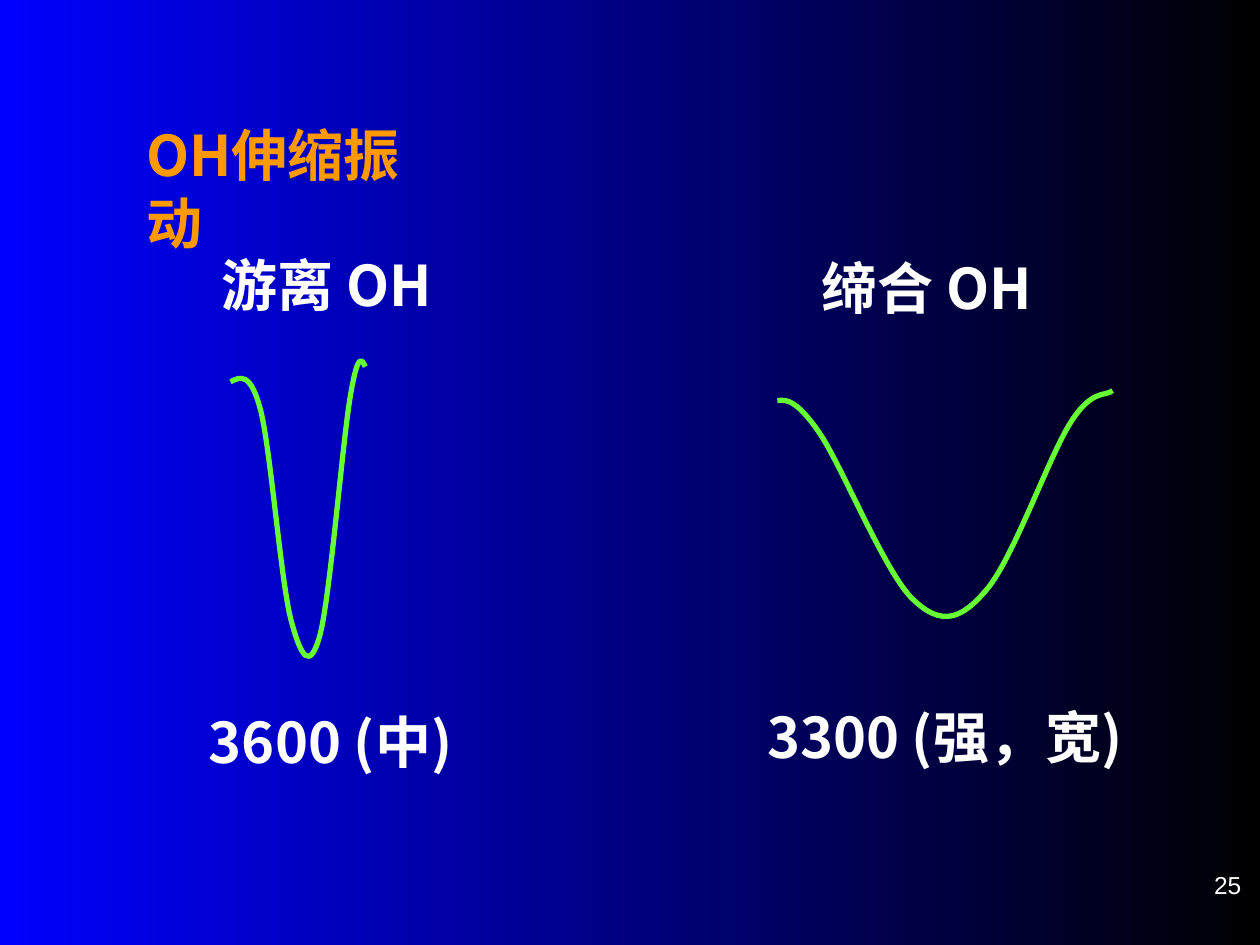
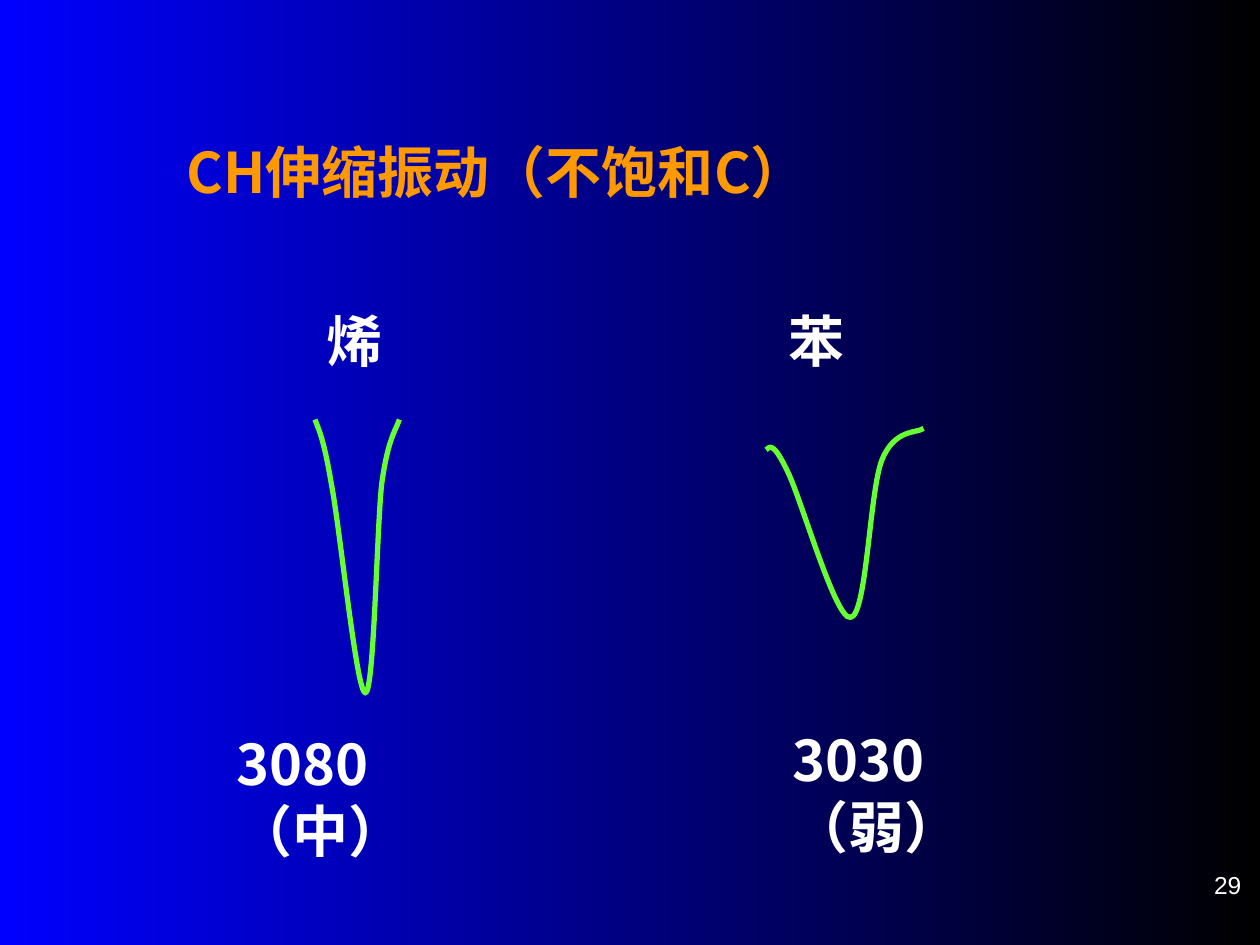
from dataclasses import dataclass

from lxml import etree
from pptx import Presentation
from pptx import util as u
from pptx.enum import text
from pptx.oxml import ns

PX = 9144  # EMU per px, 100 px to the inch
COLOURS = {
    "band_left": "0000FF",
    "band_right": "000000",
    "title": "FF9900",
    "body": "FFFFFF",
    "curve": "66FF33",
}
CJK_FONT = "Noto Sans CJK SC"
LINE_HEIGHT = 64
TITLE_ONLY = 5


@dataclass(frozen=True)
class Label:
    text: str
    left: int
    top: int
    width: int
    font: str = CJK_FONT


@dataclass(frozen=True)
class Peak:
    """An absorption curve: a start point, then three points per Bézier segment."""
    name: Label
    wavenumber: Label
    curve: tuple


@dataclass(frozen=True)
class SpectrumSlide:
    title: Label
    peaks: tuple
    number: int


SLIDES = (
    SpectrumSlide(
        Label("OH伸缩振动", 106, 91, 262),
        (
            Peak(
                Label("游离 OH", 166, 194, 195),
                Label("3600 (中)", 156, 557, 241),
                ((183, 303),
                 (191, 299), (199, 295), (207, 326),
                 (215, 358), (223, 462), (231, 492),
                 (239, 522), (246, 533), (254, 504),
                 (262, 474), (272, 350), (278, 315),
                 (284, 279), (287, 285), (290, 291)),
            ),
            Peak(
                Label("缔合 OH", 642, 196, 195),
                Label("3300 (强，宽)", 599, 553, 330),
                ((617, 318),
                 (624, 317), (632, 317), (650, 343),
                 (668, 369), (703, 456), (725, 476),
                 (747, 497), (763, 492), (783, 468),
                 (804, 444), (833, 361), (850, 335),
                 (867, 308), (878, 315), (883, 310)),
            ),
        ),
        25,
    ),
    SpectrumSlide(
        Label("CH伸缩振动（不饱和C）", 138, 104, 533),
        (
            Peak(
                Label("烯", 249, 238, 64, "Times New Roman"),
                Label("3080（中）", 178, 574, 253),
                ((250, 333),
                 (253, 341), (257, 348), (263, 384),
                 (270, 420), (283, 550), (290, 550),
                 (297, 550), (299, 420), (303, 384),
                 (308, 348), (314, 342), (317, 333)),
            ),
            Peak(
                Label("苯", 616, 238, 64, "Times New Roman"),
                Label("3030（弱）", 619, 571, 253),
                ((608, 357),
                 (611, 354), (614, 351), (625, 374),
                 (636, 396), (663, 492), (675, 490),
                 (688, 489), (690, 390), (700, 365),
                 (710, 340), (728, 344), (733, 340)),
            ),
        ),
        29,
    ),
)


def px(length: int) -> u.Emu:
    return u.Emu(length * PX)


def set_colour(color_format, name: str) -> None:
    color_format.rgb = color_format.rgb = RGB[name]


def format_text(shape, content: str, font_name: str, size: int, colour: str,
                bold: bool, align=text.PP_ALIGN.LEFT) -> None:
    frame = shape.text_frame
    frame.text = content
    frame.word_wrap = True
    paragraph = frame.paragraphs[0]
    paragraph.alignment = align
    font = paragraph.font
    font.size = u.Pt(size)
    font.bold = bold
    font.color.rgb = RGB[colour]
    font.name = font_name
    # East Asian typeface follows the Latin one
    properties = paragraph._p.pPr.find(ns.qn("a:defRPr"))
    etree.SubElement(properties, ns.qn("a:ea")).set("typeface", CJK_FONT)


def draw_label(shape, label: Label, colour: str) -> None:
    shape.left, shape.top = px(label.left), px(label.top)
    shape.width, shape.height = px(label.width), px(LINE_HEIGHT)
    format_text(shape, label.text, label.font, 32, colour, True)
    shape.text_frame.vertical_anchor = text.MSO_ANCHOR.TOP
    shape.text_frame.auto_size = text.MSO_AUTO_SIZE.SHAPE_TO_FIT_TEXT


def add_label(slide, label: Label) -> None:
    draw_label(slide.shapes.add_textbox(0, 0, 0, 0), label, "body")


def add_curve(slide, points: tuple) -> None:
    builder = slide.shapes.build_freeform(*points[0], scale=PX)
    builder.add_line_segments(points[1:], close=False)
    shape = builder.convert_to_shape()
    shape.shadow.inherit = False
    shape.fill.background()
    shape.line.color.rgb = RGB["curve"]
    shape.line.width = u.Pt(3)
    # Join every three line points into one Bézier segment
    outline = next(shape._element.iter(ns.qn("a:path")))
    segments = outline.findall(ns.qn("a:lnTo"))
    for first in range(0, len(segments), 3):
        bezier = etree.SubElement(outline, ns.qn("a:cubicBezTo"))
        for segment in segments[first:first + 3]:
            bezier.append(segment[0])
            outline.remove(segment)


def add_slide_number(slide, number: int) -> None:
    shape = slide.shapes.add_textbox(px(787), px(672), px(208), px(42))
    format_text(shape, str(number), "Arial", 14, "body", False,
                text.PP_ALIGN.RIGHT)
    frame = shape.text_frame
    frame.margin_top = frame.margin_bottom = 0
    frame.vertical_anchor = text.MSO_ANCHOR.BOTTOM


def set_background(master) -> None:
    fill = master.background.fill
    fill.gradient()
    fill.gradient_angle = 0
    for stop, name in zip(fill.gradient_stops, ("band_left", "band_right")):
        stop.color.rgb = RGB[name]


def add_spectrum_slide(presentation, content: SpectrumSlide) -> None:
    layout = presentation.slide_layouts[TITLE_ONLY]
    slide = presentation.slides.add_slide(layout)
    add_slide_number(slide, content.number)
    draw_label(slide.shapes.title, content.title, "title")
    for peak in content.peaks:
        add_label(slide, peak.name)
        add_curve(slide, peak.curve)
        add_label(slide, peak.wavenumber)


def main() -> None:
    presentation = Presentation()
    presentation.slide_width, presentation.slide_height = px(1000), px(750)
    set_background(presentation.slide_master)
    for content in SLIDES:
        add_spectrum_slide(presentation, content)
    presentation.save("out.pptx")


from pptx.dml.color import RGBColor

RGB = {name: RGBColor.from_string(value) for name, value in COLOURS.items()}

if __name__ == "__main__":
    main()
